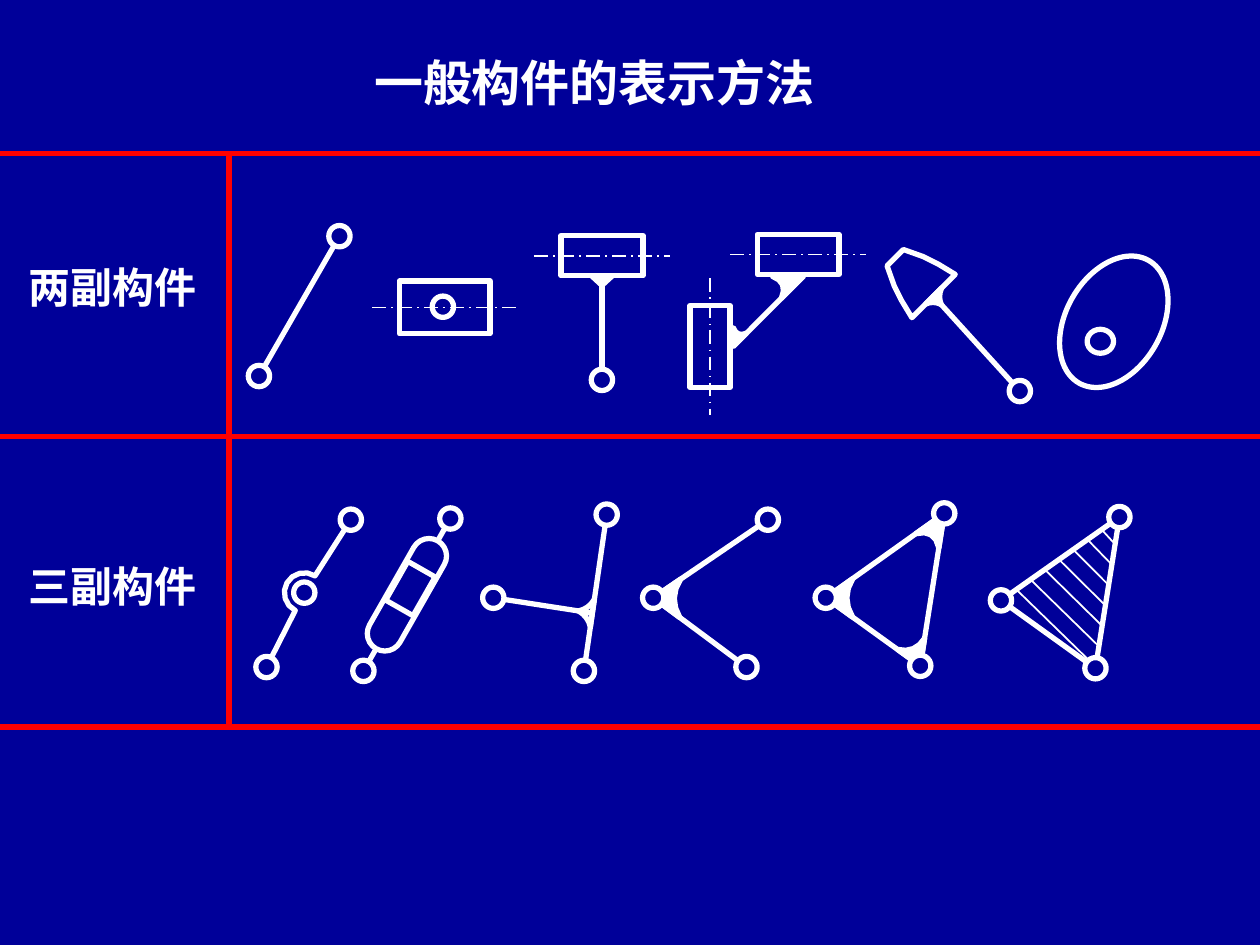
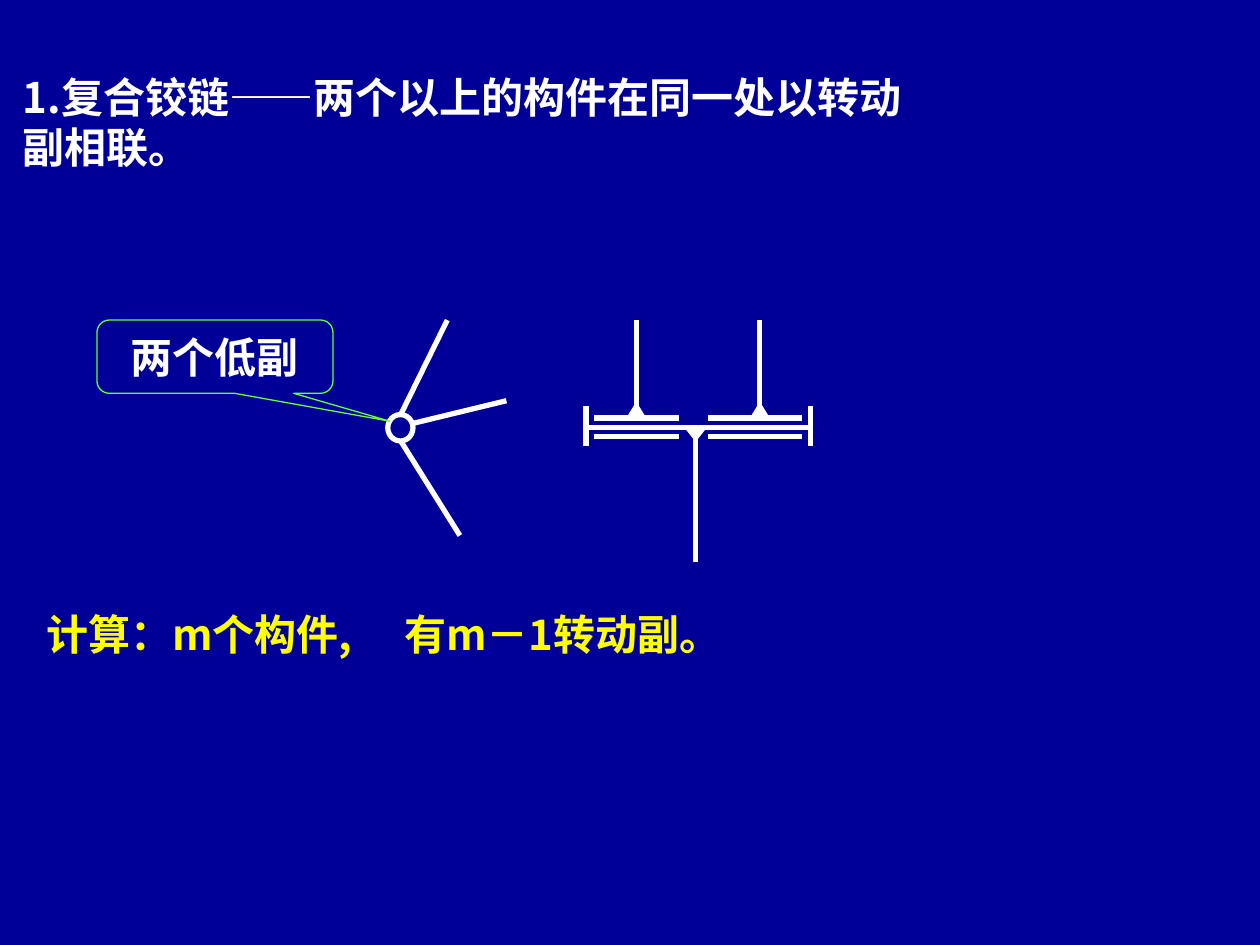
from math import atan2, cos, degrees, pi, sin

from lxml.etree import SubElement
from pptx import Presentation
from pptx.dml.color import RGBColor
from pptx.enum.dml import MSO_LINE
from pptx.enum.shapes import MSO_CONNECTOR, MSO_SHAPE
from pptx.enum.text import MSO_ANCHOR as ANCHOR, MSO_AUTO_SIZE as AUTO_SIZE, PP_ALIGN as ALIGN
from pptx.oxml.ns import qn
from pptx.util import Pt

NAVY = RGBColor(0x00, 0x00, 0x99)
WHITE = RGBColor(0xFF, 0xFF, 0xFF)
RED = RGBColor(0xFF, 0x00, 0x00)
YELLOW = RGBColor(0xFF, 0xFF, 0x00)
GREEN = RGBColor(0x66, 0xFF, 0x33)
CJK_FONT = "Noto Sans CJK SC"
TITLE_FONT = "Times New Roman"
STRAIGHT = MSO_CONNECTOR.STRAIGHT
RIM = 6.1  # radius of a revolute joint


def style(part, color=WHITE, width=3, fill=None):
    """Outline a shape or connector, without shadow."""
    part.line.color.rgb = color
    part.line.width = Pt(width)
    if not hasattr(part, "fill"):
        SubElement(part._element.spPr, qn("a:effectLst"))
        return
    part.shadow.inherit = False
    if fill is None:
        part.fill.background()
    else:
        part.fill.solid()
        part.fill.fore_color.rgb = fill


def write(box, text, color=WHITE, size=24, font=CJK_FONT, align=ALIGN.LEFT, anchor=ANCHOR.TOP):
    """Put one bold paragraph into a box."""
    frame = box.text_frame
    frame.text = text
    frame.word_wrap = True
    frame.auto_size = AUTO_SIZE.NONE
    frame.vertical_anchor = anchor
    paragraph = frame.paragraphs[0]
    paragraph.alignment = align
    if size == 24:
        paragraph.line_spacing = Pt(28.6)
    run = paragraph.runs[0]
    run.font.name = font
    run.font.size = Pt(size)
    run.font.bold = True
    run.font.color.rgb = color
    SubElement(run.font._element, qn("a:ea"), typeface=CJK_FONT)


prs = Presentation()
prs.slide_width, prs.slide_height = Pt(720), Pt(540)
backdrop = prs.slide_master.background.fill
backdrop.solid()
backdrop.fore_color.rgb = NAVY
title_only = prs.slide_layouts[5]

# Slide 1: symbols for links
links = prs.slides.add_slide(title_only)
shapes = links.shapes
title = shapes.title
title.left, title.top, title.width, title.height = Pt(206.6), Pt(26.3), Pt(280), Pt(46)
write(title, "一般构件的表示方法", size=28, font=TITLE_FONT)
title.text_frame.word_wrap = False

# Row labels
for label, top in (("两副构件", 146.2), ("三副构件", 316.8)):
    write(shapes.add_textbox(Pt(9.4), Pt(top), Pt(111.6), Pt(64.8)), label)

# Points are complex numbers: x + y*j, in points. Each symbol adds to these lists.
rods = []      # start, end, gap at start, gap at end
webs = []      # corner, point on one arm, point on the other arm, reach, fill
outlines = []  # points, closed, fill
hatching = []  # start, end

# Plain link with two joints
crank_foot, crank_tip = 148 + 214.9j, 194 + 135j
rods.append((crank_foot, crank_tip, RIM, RIM))
open_joints = [crank_foot, crank_tip]

# Slider blocks, each with a centre line along its longer side
pin_in_block = 253.1 + 175.3j
blocks = []
for centre, width, height in (
    (254.1 + 175.7j, 51.8, 30.2),  # with a pin
    (344 + 146.1j, 46.8, 23),      # with a rod below
    (405.7 + 198j, 23, 46.8),      # upright, left end of the arm
    (456.1 + 145.4j, 46.8, 23),    # lying, right end of the arm
):
    block = shapes.add_shape(MSO_SHAPE.RECTANGLE, Pt(centre.real - width / 2),
                             Pt(centre.imag - height / 2), Pt(width), Pt(height))
    style(block)
    blocks.append(block)
    half = (width + 31) / 2 if width > height else (height + 31) / 2 * 1j
    start, end = centre - half, centre + half
    centre_line = shapes.add_connector(STRAIGHT, Pt(start.real), Pt(start.imag),
                                       Pt(end.real), Pt(end.imag))
    style(centre_line, width=1)
    centre_line.line.dash_style = MSO_LINE.LONG_DASH_DOT

# Rod welded under the second block
rod_top, rod_joint = 344 + 157.6j, 344 + 217.1j
rod = shapes.add_connector(STRAIGHT, Pt(rod_top.real), Pt(rod_top.imag),
                           Pt(rod_joint.real), Pt(rod_joint.imag - RIM))
rod.begin_connect(blocks[1], 2)
style(rod)
outlines.append(([rod_top - 6, rod_top + 6, rod_top + 5.5j], True, WHITE))
open_joints += [pin_in_block, rod_joint]

# Arm between the third and fourth blocks, welded at both ends
arm_low, arm_high = 419 + 198j, 459.2 + 157.8j
rods.append((arm_low, arm_high, 0, 0))
webs += [(arm_low, arm_low - 10j, arm_high, 10.8, WHITE),
         (arm_high, arm_high - 10, arm_low, 18, WHITE)]

# Follower: head symmetric about the rod, as (distance along, half width)
follower_joint, head_base = 582.8 + 223.5j, 533.5 + 169.2j
along = complex(-cos(pi / 4), -sin(pi / 4))
profile = [(0, 17.5), (11, 14.8), (20, 11.8), (31, 6.6)]
right_side = [head_base + along * (distance + half * 1j) for distance, half in profile]
left_side = [head_base + along * (distance - half * 1j) for distance, half in profile]
outlines.append((right_side + left_side[::-1], True, None))
rods.append((head_base, follower_joint, 0, RIM))
webs += [(head_base, side[0], follower_joint, 6.5, WHITE) for side in (right_side, left_side)]
open_joints.append(follower_joint)

# Rod that bends in an arc around its middle joint
bent_foot, bent_middle, bent_tip = 152.3 + 381.2j, 173.9 + 338.7j, 200.5 + 297j
to_foot, to_tip = bent_foot - bent_middle, bent_tip - bent_middle
first = atan2(to_foot.imag, to_foot.real)
last = atan2(to_tip.imag, to_tip.real) + 2 * pi
angles = [first + (last - first) * step / 8 for step in range(9)]
arc = [bent_middle + 11.4 * complex(cos(angle), sin(angle)) for angle in angles]
outlines.append(([bent_foot - to_foot / abs(to_foot) * RIM] + arc
                 + [bent_tip - to_tip / abs(to_tip) * RIM], False, None))
open_joints += [bent_foot, bent_middle, bent_tip]

# Slotted link with a block, both turned along the line of its joints
slot_foot, slot_tip = 207.7 + 383.4j, 257.4 + 296.3j
slot_axis = slot_tip - slot_foot
for kind, position, width, length in (
    (MSO_SHAPE.ROUNDED_RECTANGLE, 0.5, 20, 71),
    (MSO_SHAPE.RECTANGLE, 0.54, 18, 25.5),
):
    centre = slot_foot + slot_axis * position
    part = shapes.add_shape(kind, Pt(centre.real - width / 2), Pt(centre.imag - length / 2),
                            Pt(width), Pt(length))
    part.rotation = degrees(atan2(slot_axis.real, -slot_axis.imag))
    if kind == MSO_SHAPE.ROUNDED_RECTANGLE:
        part.adjustments[0] = 0.5
    style(part)
rods += [(slot_foot, slot_foot + slot_axis * 0.15, RIM, 0),
         (slot_tip, slot_tip - slot_axis * 0.15, RIM, 0)]
open_joints += [slot_foot, slot_tip]

# T-shaped link: a side rod welded to a through rod
tee_side, tee_top, tee_bottom = 281.9 + 341.6j, 346.7 + 294.1j, 333.7 + 383.4j
tee_weld = tee_top + (tee_bottom - tee_top) * 0.63
rods += [(tee_top, tee_bottom, RIM, RIM), (tee_side, tee_weld, RIM, 0)]
webs += [(tee_weld, tee_side, end, 8, None) for end in (tee_top, tee_bottom)]
open_joints += [tee_side, tee_top, tee_bottom]

# Links with joints at apex, top and bottom: two arms, webbed triangle, hatched triangle
covering_joints = []
for apex, top, bottom, kind in (
    (373.3 + 341.6j, 438.8 + 297j, 426.6 + 381.2j, "two arms"),
    (471.9 + 341.6j, 539.6 + 293.4j, 525.9 + 380.5j, "webbed"),
    (572 + 343.1j, 639.7 + 295.5j, 626 + 381.9j, "hatched"),
):
    outlines.append(([top, apex, bottom], kind != "two arms", None))
    covering_joints += [apex, top, bottom]
    if kind != "hatched":
        webs.append((apex, top, bottom, 19, WHITE))
    if kind == "webbed":
        webs += [(top, apex, bottom, 20, WHITE), (bottom, apex, top, 16, WHITE)]
    if kind == "hatched":
        hatching += [(apex + (top - apex) * (0.13 + 0.12 * step),
                      bottom + (top - bottom) * (0.01 + 0.135 * step)) for step in range(7)]

# A web fills a corner up to a curve that sags towards it
for corner, one_arm, other_arm, reach, fill in webs:
    one = (one_arm - corner) / abs(one_arm - corner) * reach
    other = (other_arm - corner) / abs(other_arm - corner) * reach
    sag = 0.28 * (one + other)
    curve = [corner + (1 - t) ** 2 * one + 2 * t * (1 - t) * sag + t ** 2 * other
             for t in (0, 0.25, 0.5, 0.75, 1)]
    outlines.append(([corner] + curve, True, fill))

# Draw outlines, then rods and hatching, then joints on top
for points, closed, fill in outlines:
    corners = [(Pt(point.real), Pt(point.imag)) for point in points]
    builder = shapes.build_freeform(*corners[0])
    builder.add_line_segments(corners[1:], close=closed)
    style(builder.convert_to_shape(), fill=fill)

strokes = [(*rod_ends, 3) for rod_ends in rods] + [(*ends, 0, 0, 1) for ends in hatching]
for start, end, start_gap, end_gap, width in strokes:
    direction = (end - start) / abs(end - start)
    start, end = start + direction * start_gap, end - direction * end_gap
    style(shapes.add_connector(STRAIGHT, Pt(start.real), Pt(start.imag),
                               Pt(end.real), Pt(end.imag)), width=width)

for joints, fill in ((open_joints, None), (covering_joints, NAVY)):
    for joint in joints:
        style(shapes.add_shape(MSO_SHAPE.OVAL, Pt(joint.real - RIM), Pt(joint.imag - RIM),
                               Pt(2 * RIM), Pt(2 * RIM)), fill=fill)

# Cam and its pivot
cam = shapes.add_shape(MSO_SHAPE.OVAL, Pt(609.1), Pt(143.6), Pt(54.7), Pt(80.6))
cam.rotation = 29.5
pivot = shapes.add_shape(MSO_SHAPE.OVAL, Pt(621.2), Pt(188.2), Pt(15.1), Pt(13.7))
for part in (cam, pivot):
    style(part, fill=NAVY)

# Red grid
for ends in [(0, y, 720, y) for y in (87.8, 249.3, 415.4)] + [(130.8, 86.4, 130.8, 416)]:
    style(shapes.add_connector(STRAIGHT, *map(Pt, ends)), RED)

# Slide 2: compound hinge
hinge = prs.slides.add_slide(title_only)
shapes = hinge.shapes
heading = shapes.title
heading.left, heading.top, heading.width, heading.height = Pt(5.8), Pt(37.4), Pt(667.4), Pt(64.8)
write(heading, "1.复合铰链——两个以上的构件在同一处以转动副相联。")
heading.text_frame.margin_right = Pt(138)

# Hinge seen from the front: three rods leave one joint
joint = shapes.add_shape(MSO_SHAPE.OVAL, Pt(221.6), Pt(236.9), Pt(14.4), Pt(15.1))
style(joint, fill=NAVY)
front_view = [(229, 236.9, 255.6, 182.9), (236.2, 241.9, 289.4, 229), (229, 252, 262.8, 306)]

# Hinge seen from the side: pin with end caps and a lower rod, two sleeves with upper rods
pin_left, pin_right, pin_y, lower_rod = 334.8, 463, 244.1, 397.5
side_view = [(pin_left, pin_y, pin_right, pin_y), (lower_rod, pin_y, lower_rod, 321.1)]
side_view += [(cap, 231.8, cap, 254.9) for cap in (pin_left, pin_right)]
side_view += [(lower_rod + side, pin_y, lower_rod, pin_y + 6) for side in (-4.7, 4.7)]
for left, right, upper_rod in ((339.6, 388.1, 363.6), (404.8, 458.1, 434.2)):
    sleeve_top, sleeve_bottom = pin_y - 5.2, pin_y + 5.4
    side_view += [(left, y, right, y) for y in (sleeve_top, sleeve_bottom)]
    side_view.append((upper_rod, sleeve_top, upper_rod, 182.9))
    side_view += [(upper_rod + side, sleeve_top, upper_rod, sleeve_top - 6.5)
                  for side in (-4, 4)]
for ends in front_view + side_view:
    style(shapes.add_connector(STRAIGHT, *map(Pt, ends)))

# Formula
for text, left, width in (("计算：m个构件,", 19.4, 272.9), ("有m－1转动副。", 223.9, 260.6)):
    write(shapes.add_textbox(Pt(left), Pt(344.2), Pt(width), Pt(36)), text, YELLOW)

# Callout
callout = shapes.add_shape(MSO_SHAPE.ROUNDED_RECTANGULAR_CALLOUT,
                           Pt(55.4), Pt(182.9), Pt(134.9), Pt(41.9))
for index, value in enumerate((0.74, 0.88, 0.17)):
    callout.adjustments[index] = value
style(callout, GREEN, 0.75)
write(callout, "两个低副", align=ALIGN.CENTER, anchor=ANCHOR.MIDDLE)

prs.save("out.pptx")
